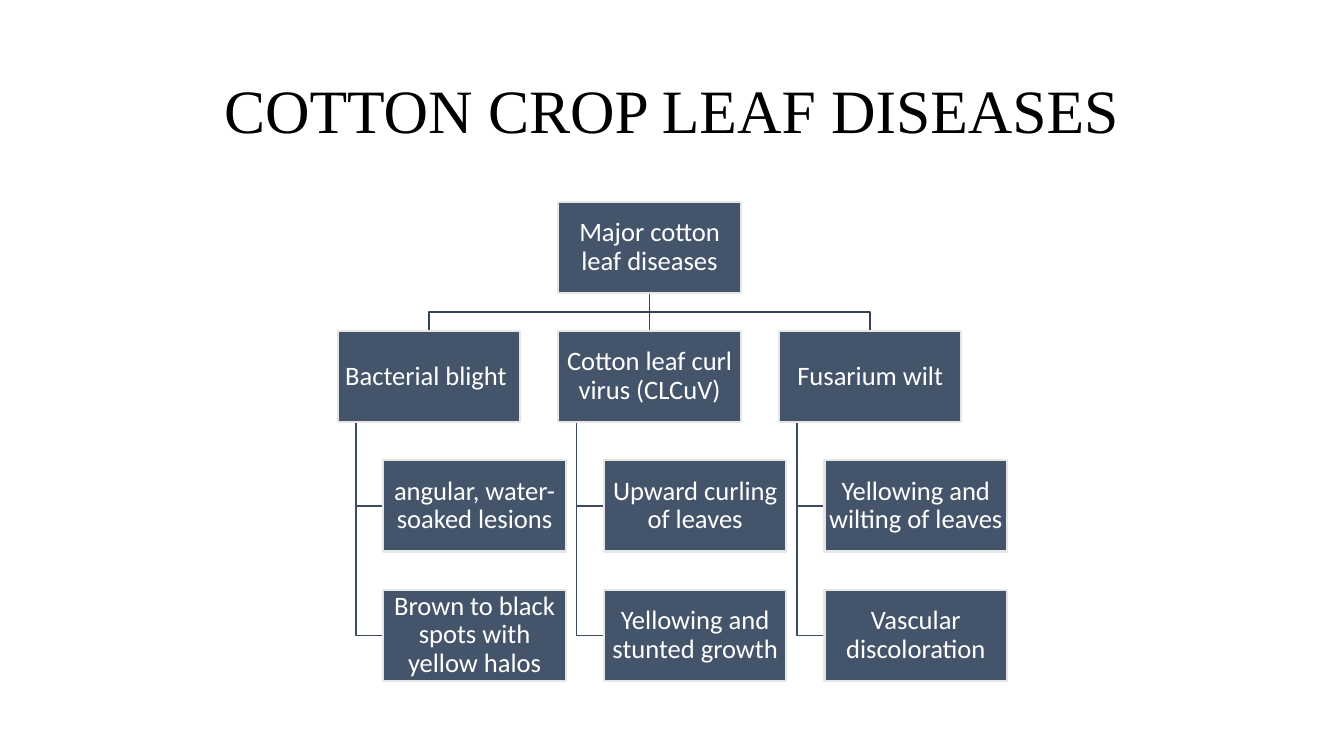
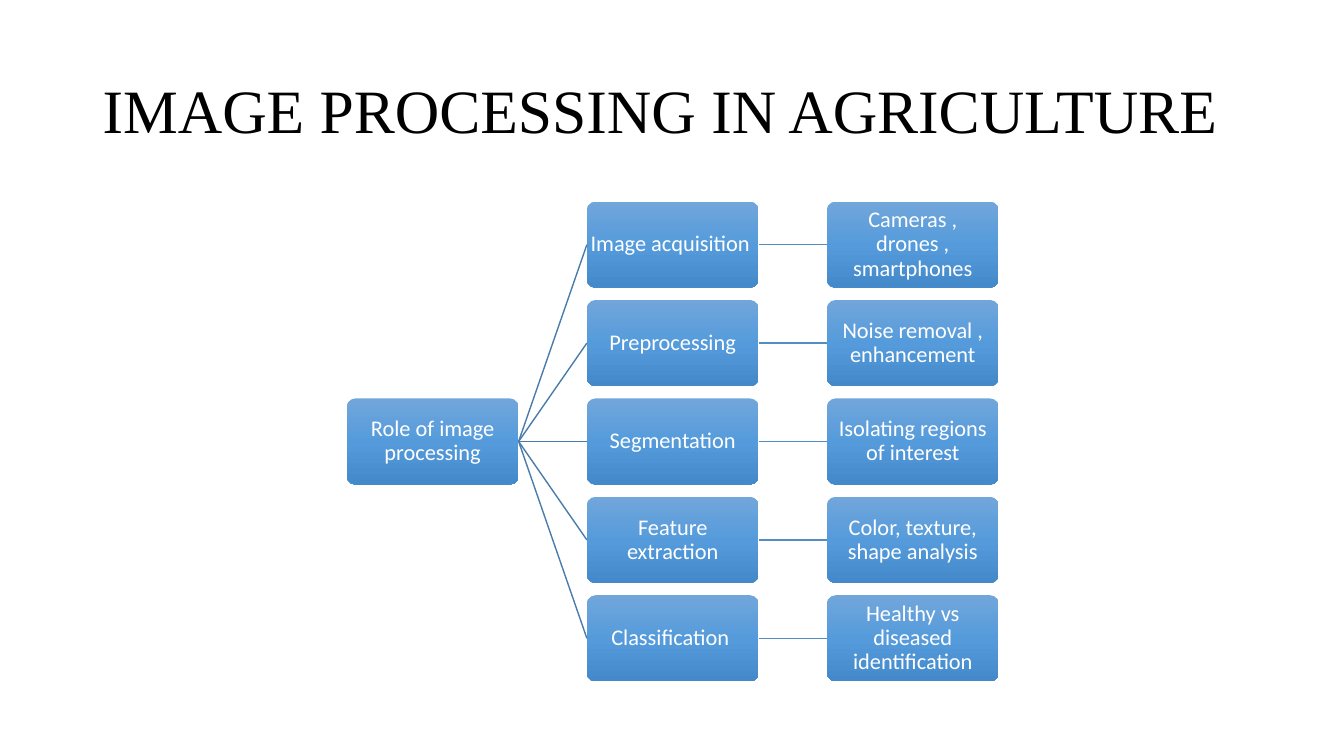
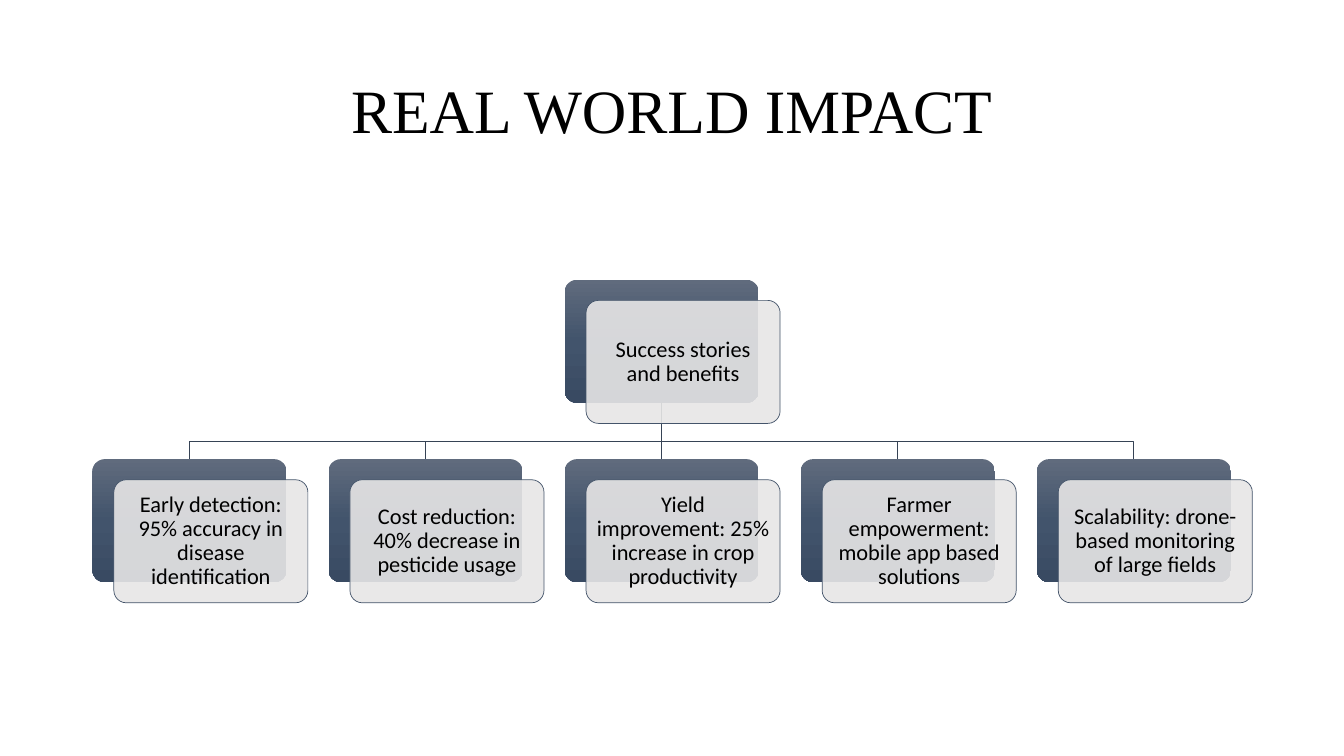
"""Build three slides of diagrams about detecting cotton leaf diseases."""

import copy
import dataclasses
import typing

import lxml.etree
import pptx
import pptx.dml.color
import pptx.enum.shapes
import pptx.enum.text
import pptx.oxml.ns
import pptx.util

Cm = pptx.util.Cm
Pt = pptx.util.Pt
qn = pptx.oxml.ns.qn
SHAPES = pptx.enum.shapes.MSO_SHAPE
ALIGN = pptx.enum.text.PP_ALIGN
Point = tuple[float, float]

BLACK, WHITE = "000000", "FFFFFF"
SLATE, PALE = "44546A", "E7E6E6"
TRUNK, BRANCH = "364355", "3E4C60"
FAN, LINK = "497CAB", "538DC1"
BLUE_SHADES = ("71A6DB", "559BDB", "448ACA")
SLATE_SHADES = ("606B7D", "42546C", "394A62")

TITLE_PLACE = {"left": Cm(2.33), "top": Cm(1.01), "width": Cm(29.21), "height": Cm(3.68)}
FRAME_FORMAT = {
    "word_wrap": True,
    "auto_size": pptx.enum.text.MSO_AUTO_SIZE.NONE,
    "vertical_anchor": pptx.enum.text.MSO_ANCHOR.MIDDLE,
}


@dataclasses.dataclass(frozen=True)
class NodeStyle:
    """Look and size in centimetres of one kind of node."""

    width: float
    height: float
    fill: tuple[str, ...]
    rounded: bool = True
    outline: str | None = None
    outline_width: float = 0.5
    opacity: int = 100
    text_size: int = 16
    text_colour: str = WHITE
    inset: float = 0.03


@dataclasses.dataclass(frozen=True)
class Node:
    """Text and top left corner in centimetres of one node."""

    text: str
    left: float
    top: float
    style: NodeStyle

    @property
    def middle(self) -> float:
        """Give the horizontal centre."""
        return self.left + self.style.width / 2

    @property
    def bottom(self) -> float:
        """Give the lower edge."""
        return self.top + self.style.height

    @property
    def centre_line(self) -> float:
        """Give the vertical centre."""
        return self.top + self.style.height / 2


@dataclasses.dataclass(frozen=True)
class Disease:
    """A disease with its symptoms."""

    name: str
    symptoms: tuple[str, ...]


@dataclasses.dataclass(frozen=True)
class Step:
    """An image processing step with its detail."""

    name: str
    detail: str


DISEASE_BOX = NodeStyle(4.6, 2.3, (SLATE,), rounded=False, outline=PALE, outline_width=1.5, text_size=19)
STEP_BOX = NodeStyle(4.33, 2.17, BLUE_SHADES)
PLATE = NodeStyle(4.89, 3.1, SLATE_SHADES)
CARD = NodeStyle(4.89, 3.1, (PALE,), outline=SLATE, opacity=90, text_colour=BLACK, inset=0.18)

DISEASES = (
    Disease("Bacterial blight ", ("angular, water-soaked lesions", "Brown to black spots with yellow halos")),
    Disease("Cotton leaf curl virus (CLCuV)", ("Upward curling of leaves", "Yellowing and stunted growth")),
    Disease("Fusarium wilt", ("Yellowing and wilting of leaves", "Vascular discoloration")),
)
STEPS = (
    Step("Image acquisition ", "Cameras , drones , smartphones"),
    Step("Preprocessing", "Noise removal , enhancement"),
    Step("Segmentation", "Isolating regions of interest"),
    Step("Feature extraction", "Color, texture, shape analysis"),
    Step("Classification ", "Healthy vs diseased identification"),
)
BENEFITS = (
    "Early detection: 95% accuracy in disease identification",
    "Cost reduction: 40% decrease in pesticide usage",
    "Yield improvement: 25% increase in crop productivity",
    "Farmer empowerment: mobile app based solutions",
    "Scalability: drone-based monitoring of large fields",
)


def rgb(value: str) -> pptx.dml.color.RGBColor:
    """Turn a hex string into a colour."""
    return pptx.dml.color.RGBColor.from_string(value)


def apply(target: typing.Any, values: dict[str, typing.Any]) -> None:
    """Set each named attribute of the target."""
    for name, value in values.items():
        setattr(target, name, value)


def write(frame, text: str, font_name: str, size: int, colour: str, align=ALIGN.CENTER) -> None:
    """Put one formatted paragraph into a text frame."""
    apply(frame, FRAME_FORMAT)
    paragraph = frame.paragraphs[0]
    paragraph.text = text
    apply(paragraph, {"alignment": align, "line_spacing": 0.9})
    apply(paragraph.font, {"name": font_name, "size": Pt(size)})
    paragraph.font.color.rgb = rgb(colour)


def add_titled_slide(deck, title: str, align=ALIGN.CENTER):
    """Add a slide that carries only the shared title style."""
    slide = deck.slides.add_slide(deck.slide_layouts[5])
    heading = slide.shapes.title
    apply(heading, TITLE_PLACE)
    write(heading.text_frame, title, "Times New Roman", 44, BLACK, align)
    return slide


def paint(shape, style: NodeStyle) -> None:
    """Fill a shape with a gradient or a plain, perhaps translucent, colour."""
    if len(style.fill) == 1:
        shape.fill.solid()
        shape.fill.fore_color.rgb = rgb(style.fill[0])
        if style.opacity < 100:
            tint = shape._element.spPr.find(f"{qn('a:solidFill')}/{qn('a:srgbClr')}")
            lxml.etree.SubElement(tint, qn("a:alpha")).set("val", str(style.opacity * 1000))
        return
    shape.fill.gradient()
    shape.fill.gradient_angle = 270
    stop_list = shape._element.spPr.find(f"{qn('a:gradFill')}/{qn('a:gsLst')}")
    stop_list.insert(1, copy.deepcopy(stop_list[0]))
    for stop, position, shade in zip(shape.fill.gradient_stops, (0, 0.5, 1), style.fill):
        stop.position = position
        stop.color.rgb = rgb(shade)


def draw_line_style(line, colour: str, width: float) -> None:
    """Colour a line and set its width in points."""
    line.color.rgb = rgb(colour)
    line.width = Pt(width)


def add_node(slide, node: Node):
    """Draw one node with its text."""
    style = node.style
    preset = SHAPES.ROUNDED_RECTANGLE if style.rounded else SHAPES.RECTANGLE
    box = slide.shapes.add_shape(preset, *map(Cm, (node.left, node.top, style.width, style.height)))
    box.shadow.inherit = False
    if style.rounded:
        box.adjustments[0] = 0.1
    paint(box, style)
    if style.outline:
        draw_line_style(box.line, style.outline, style.outline_width)
    else:
        box.line.fill.background()
    if node.text:
        sides = ("left", "top", "right", "bottom")
        apply(box.text_frame, {f"margin_{side}": Cm(style.inset) for side in sides})
        write(box.text_frame, node.text, "Calibri", style.text_size, style.text_colour)
    return box


def add_straight(slide, start: Point, end: Point, colour: str, width: float = 1):
    """Draw a straight connector."""
    straight = pptx.enum.shapes.MSO_CONNECTOR.STRAIGHT
    connector = slide.shapes.add_connector(straight, *map(Cm, start + end))
    draw_line_style(connector.line, colour, width)
    lxml.etree.SubElement(connector._element.spPr, qn("a:effectLst"))
    return connector


def add_bent(slide, points: list[Point], colour: str, width: float = 1) -> None:
    """Draw an open line with corners."""
    corners = [(Cm(x), Cm(y)) for x, y in points]
    builder = slide.shapes.build_freeform(*corners[0])
    builder.add_line_segments(corners[1:], close=False)
    bent = builder.convert_to_shape()
    bent.shadow.inherit = False
    bent.fill.background()
    draw_line_style(bent.line, colour, width)


def add_fork(slide, root: Node, children: list[Node], bend: float, width: float):
    """Join a root to its children and return the straight middle connector."""
    trunk = None
    for child in children:
        start, end = (root.middle, root.bottom), (child.middle, child.top)
        if child.left == root.left:
            trunk = add_straight(slide, start, end, TRUNK, width)
        else:
            corners = [(root.middle, bend), (child.middle, bend)]
            add_bent(slide, [start, *corners, end], TRUNK, width)
    return trunk


def join(connector, start_box, start_side: int, end_box, end_side: int) -> None:
    """Glue both ends of a connector to boxes."""
    connector.begin_connect(start_box, start_side)
    connector.end_connect(end_box, end_side)


def build_diseases(deck) -> None:
    """Draw the tree of diseases and symptoms."""
    slide = add_titled_slide(deck, "COTTON CROP LEAF DISEASES")
    left, top, column_step, row_step, indent, stem = 8.51, 5.08, 5.56, 3.26, 1.15, 0.46
    root = Node("Major cotton leaf diseases", left + column_step, top, DISEASE_BOX)
    heads = [
        Node(disease.name, left + column * column_step, top + row_step, DISEASE_BOX)
        for column, disease in enumerate(DISEASES)
    ]
    symptoms = []
    for head, disease in zip(heads, DISEASES):
        for row, text in enumerate(disease.symptoms, start=1):
            symptom = Node(text, head.left + indent, head.top + row * row_step, DISEASE_BOX)
            stem_x = head.left + stem
            corner, end = (stem_x, symptom.centre_line), (symptom.left, symptom.centre_line)
            add_bent(slide, [(stem_x, head.bottom), corner, end], BRANCH)
            symptoms.append(symptom)
    trunk = add_fork(slide, root, heads, (root.bottom + heads[0].top) / 2, 1)
    root_box = add_node(slide, root)
    head_boxes = [add_node(slide, head) for head in heads]
    for symptom in symptoms:
        add_node(slide, symptom)
    join(trunk, root_box, 2, head_boxes[1], 0)


def build_steps(deck) -> None:
    """Draw the fan of image processing steps."""
    slide = add_titled_slide(deck, "IMAGE PROCESSING IN AGRICULTURE", ALIGN.LEFT)
    left, top, column_step, row_step = 8.74, 5.08, 6.05, 2.48
    role = Node("Role of image processing", left, top + 2 * row_step, STEP_BOX)
    role_box = add_node(slide, role)
    for row, step in enumerate(STEPS):
        row_top = top + row * row_step
        name = Node(step.name, left + column_step, row_top, STEP_BOX)
        detail = Node(step.detail, left + 2 * column_step, row_top, STEP_BOX)
        name_box, detail_box = add_node(slide, name), add_node(slide, detail)
        for source, source_box, target, target_box, colour in (
            (role, role_box, name, name_box, FAN),
            (name, name_box, detail, detail_box, LINK),
        ):
            start = (source.left + STEP_BOX.width, source.centre_line)
            connector = add_straight(slide, start, (target.left, target.centre_line), colour)
            join(connector, source_box, 3, target_box, 1)


def build_impact(deck) -> None:
    """Draw the layered cards of benefits."""
    slide = add_titled_slide(deck, "REAL WORLD IMPACT")
    left, column_step, shift_x, shift_y, bend = 2.33, 5.95, 0.54, 0.52, 11.12
    root = Node("", left + 2 * column_step, 7.05, PLATE)
    plates = [Node("", left + column * column_step, 11.57, PLATE) for column in range(len(BENEFITS))]
    root_box = add_node(slide, root)
    plate_boxes = [add_node(slide, plate) for plate in plates]
    trunk = add_fork(slide, root, plates, bend, 0.5)
    join(trunk, root_box, 2, plate_boxes[2], 0)
    for plate, text in zip([root, *plates], ("Success stories and benefits", *BENEFITS)):
        add_node(slide, Node(text, plate.left + shift_x, plate.top + shift_y, CARD))


def main() -> None:
    """Build and save the presentation."""
    deck = pptx.Presentation()
    apply(deck, {"slide_width": Cm(33.87), "slide_height": Cm(19.05)})
    for build in (build_diseases, build_steps, build_impact):
        build(deck)
    deck.save("out.pptx")


if __name__ == "__main__":
    main()
